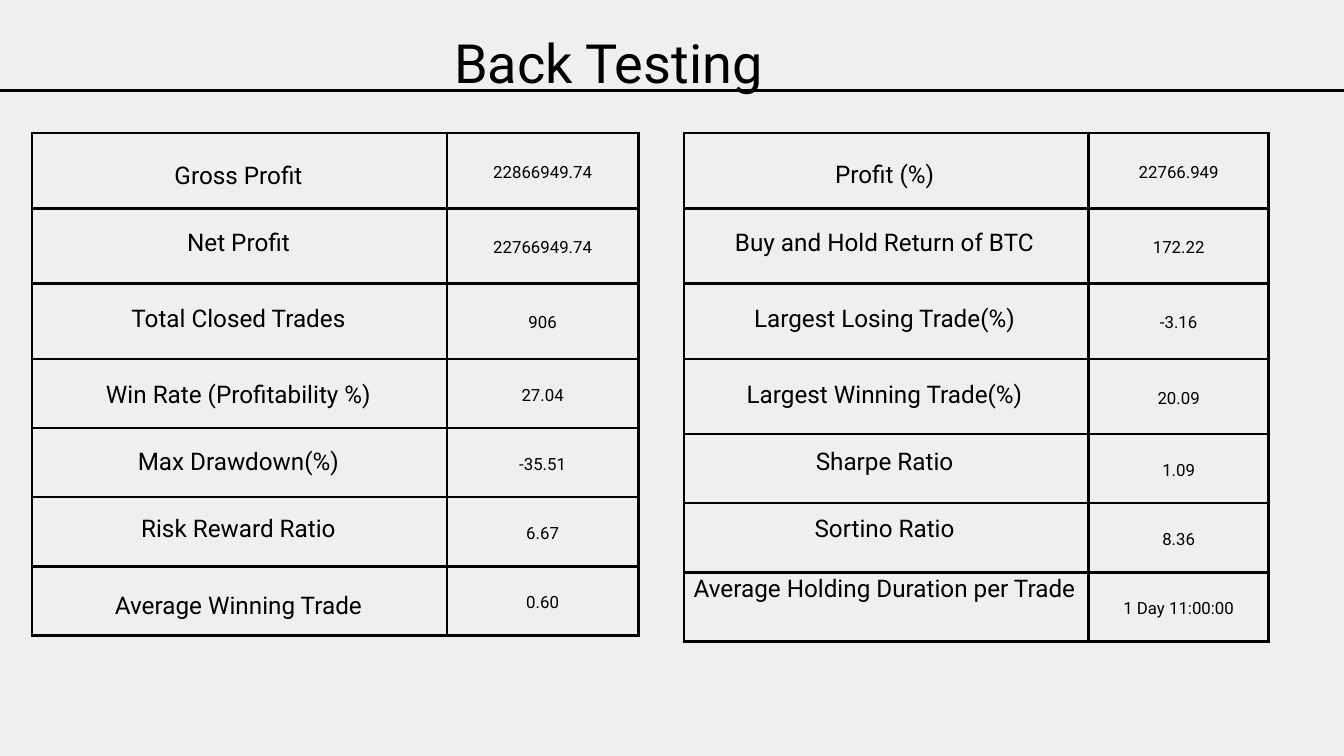
from lxml.etree import SubElement
from pptx import Presentation
from pptx.dml.color import RGBColor
from pptx.enum.shapes import MSO_CONNECTOR
from pptx.enum.text import MSO_ANCHOR, MSO_AUTO_SIZE, PP_ALIGN
from pptx.oxml.ns import qn
from pptx.util import Inches, Pt

# Content: (label, label top, value, row height)
TITLE = "Back Testing"
PANELS = [
    {"left": 0.48, "columns": (6.17, 2.85), "label_width": 6.14, "rows": [
        ("Gross Profit", 2.31, "22866949.74", 1.12),
        ("Net Profit", 3.31, "22766949.74", 1.12),
        ("Total Closed Trades", 4.44, "906", 1.12),
        ("Win Rate (Profitability %)", 5.57, "27.04", 1.03),
        ("Max Drawdown(%)", 6.57, "-35.51", 1.03),
        ("Risk Reward Ratio", 7.57, "6.67", 1.03),
        ("Average Winning Trade", 8.71, "0.60", 1.03),
    ]},
    {"left": 10.18, "columns": (6.02, 2.68), "label_width": 5.97, "rows": [
        ("Profit (%)", 2.3, "22766.949", 1.12),
        ("Buy and Hold Return of BTC", 3.31, "172.22", 1.12),
        ("Largest Losing Trade(%)", 4.44, "-3.16", 1.12),
        ("Largest Winning Trade(%)", 5.57, "20.09", 1.12),
        ("Sharpe Ratio", 6.57, "1.09", 1.03),
        ("Sortino Ratio", 7.57, "8.36", 1.03),
        ("Average Holding Duration per Trade", 8.46, "1 Day 11:00:00", 1.03),
    ]},
]
TABLE_TOP, LABEL_HEIGHT, CELL_MARGIN = 1.98, 0.48, 0.21
FONT, INK, PAPER = "Roboto", "000000", "EEEFEF"
RULE_WIDTH = Pt(3)


def paint(color_format, hex_color):
    color_format.rgb = RGBColor.from_string(hex_color)


def write(frame, text, size, spacing, margin=0):
    """Set one centred paragraph with a fixed line height."""
    frame.margin_left = frame.margin_right = Inches(margin)
    frame.margin_top = frame.margin_bottom = Inches(margin)
    frame.word_wrap = True
    style(frame, text, size, spacing)


def style(frame, text, size, spacing):
    frame.text = text
    paragraph = frame.paragraphs[0]
    paragraph.alignment = PP_ALIGN.CENTER
    paragraph.line_spacing = Pt(spacing)
    paragraph.font.name = FONT
    paragraph.font.size = Pt(size)
    paint(paragraph.font.color, INK)


def outline(cell):
    properties = cell._tc.get_or_add_tcPr()
    for side in ("a:lnL", "a:lnR", "a:lnT", "a:lnB"):
        border = SubElement(properties, qn(side), w=str(RULE_WIDTH))
        SubElement(SubElement(border, qn("a:solidFill")), qn("a:srgbClr"), val=INK)
    cell.fill.background()


def add_results(slide, panel):
    rows, columns = panel["rows"], panel["columns"]
    heights = [height for *_, height in rows]
    results = slide.shapes.add_table(
        len(rows), len(columns), Inches(panel["left"]), Inches(TABLE_TOP),
        Inches(sum(columns)), Inches(sum(heights))).table
    results.first_row = results.horz_banding = False
    for column, width in zip(results.columns, columns):
        column.width = Inches(width)
    for row, (_, _, value, height) in zip(results.rows, rows):
        row.height = Inches(height)
        value_cell = row.cells[1]
        value_cell.vertical_anchor = MSO_ANCHOR.MIDDLE
        value_cell.margin_left = value_cell.margin_right = Inches(CELL_MARGIN)
        value_cell.margin_top = value_cell.margin_bottom = Inches(CELL_MARGIN)
        style(value_cell.text_frame, value, 18, 25.2)
        for cell in row.cells:
            outline(cell)


def add_labels(slide, panel):
    for label, top, *_ in panel["rows"]:
        box = slide.shapes.add_textbox(
            Inches(panel["left"]), Inches(top),
            Inches(panel["label_width"]), Inches(LABEL_HEIGHT))
        write(box.text_frame, label, 26, 36.4)


def main():
    deck = Presentation()
    deck.slide_width, deck.slide_height = Inches(20), Inches(11.25)
    slide = deck.slides.add_slide(deck.slide_layouts[5])
    slide.background.fill.solid()
    paint(slide.background.fill.fore_color, PAPER)

    # Title
    title = slide.shapes.title
    title.left, title.top = Inches(6.16), Inches(0.28)
    title.width, title.height = Inches(5.79), Inches(1.09)
    title.text_frame.vertical_anchor = MSO_ANCHOR.TOP
    title.text_frame.auto_size = MSO_AUTO_SIZE.NONE
    write(title.text_frame, TITLE, 57.9, 81)

    # Header rule
    rule = slide.shapes.add_connector(
        MSO_CONNECTOR.STRAIGHT, 0, Inches(1.35), deck.slide_width, Inches(1.35))
    rule.line.width = RULE_WIDTH
    paint(rule.line.color, INK)
    SubElement(rule._element.spPr, qn("a:effectLst"))

    # Result tables, then the labels over their first columns
    for panel in PANELS:
        add_results(slide, panel)
    for panel in PANELS:
        add_labels(slide, panel)

    deck.save("out.pptx")


if __name__ == "__main__":
    main()
